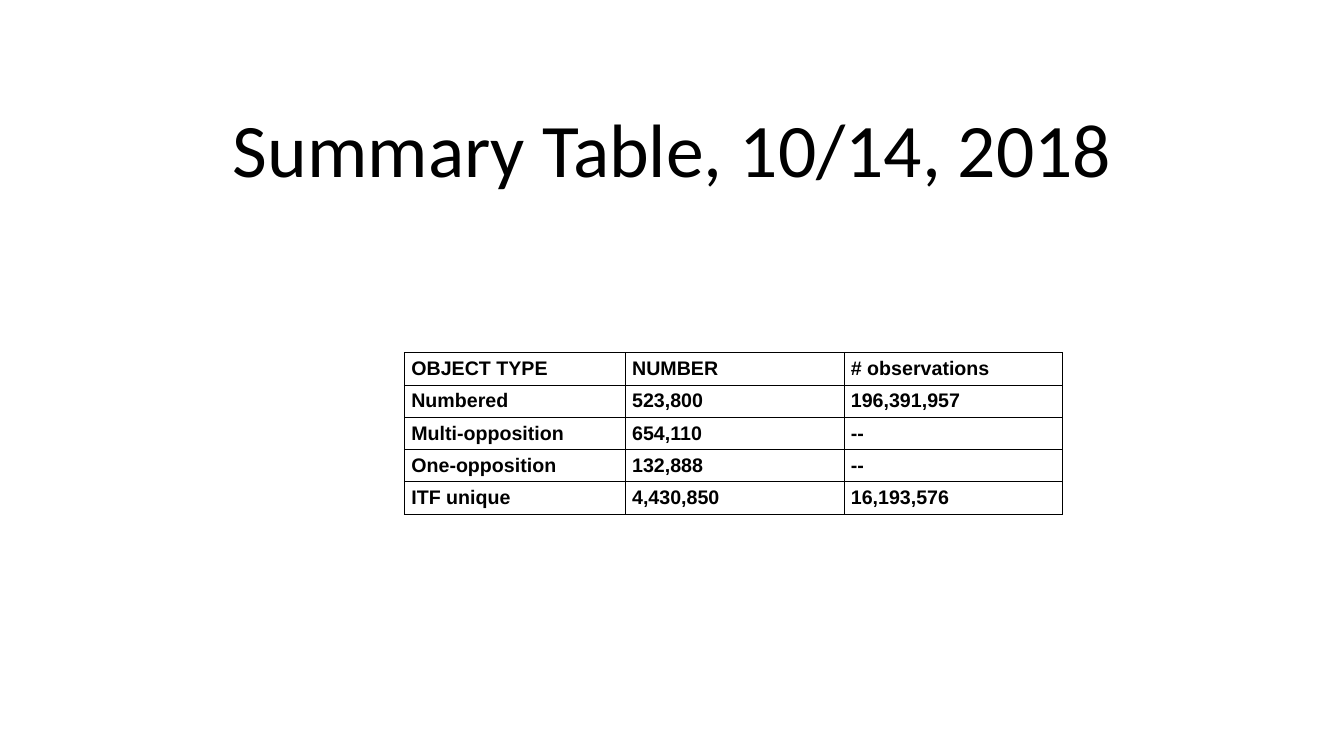
from dataclasses import dataclass

from lxml.etree import SubElement
from pptx import Presentation
from pptx.dml.color import RGBColor
from pptx.enum.text import MSO_ANCHOR, MSO_AUTO_SIZE, PP_ALIGN
from pptx.oxml.ns import qn
from pptx.util import Inches, Pt


@dataclass(frozen=True)
class Theme:
    """Colours, fonts and sizes of the slide."""

    ink: str = "000000"
    title_font: str = "Calibri"
    table_font: str = "Arial"
    title_size: int = 54
    table_size: int = 14
    border_width: float = 0.5


THEME = Theme()
COLUMN_WIDTHS = (2.19, 2.17, 2.17)
ROW_HEIGHT = 0.32
CELL_FORMAT = {
    "margin_left": Inches(0.07),
    "margin_right": Inches(0.07),
    "margin_top": Inches(0.05),
    "margin_bottom": Inches(0.05),
    "vertical_anchor": MSO_ANCHOR.TOP,
}
SUMMARY = (
    ("OBJECT TYPE", "NUMBER", "# observations"),
    ("Numbered", "523,800", "196,391,957"),
    ("Multi-opposition", "654,110", "--"),
    ("One-opposition", "132,888", "--"),
    ("ITF unique", "4,430,850", "16,193,576"),
)


def apply_format(target, values):
    """Set each named attribute on the target."""
    for name, value in values.items():
        setattr(target, name, value)


def style_font(font, face, size, bold):
    """Give a font its face, size, weight and the theme's ink."""
    apply_format(font, {"name": face, "size": Pt(size), "bold": bold})
    font.color.rgb = RGBColor.from_string(THEME.ink)


def add_borders(cell):
    """Draw a thin line on all four sides of a cell."""
    properties = cell._tc.get_or_add_tcPr()
    for side in ("lnL", "lnR", "lnT", "lnB"):
        border = SubElement(properties, qn(f"a:{side}"), w=str(Pt(THEME.border_width)))
        ink = SubElement(border, qn("a:solidFill"))
        SubElement(ink, qn("a:srgbClr"), val=THEME.ink)


def place_title(slide, left, top, width, height):
    """Write the heading in the title placeholder."""
    heading = slide.shapes.title
    apply_format(heading, {
        "left": Inches(left),
        "top": Inches(top),
        "width": Inches(width),
        "height": Inches(height),
    })
    frame = heading.text_frame
    frame.text = "Summary Table, 10/14, 2018"
    apply_format(frame, {
        "word_wrap": True,
        "auto_size": MSO_AUTO_SIZE.NONE,
        "vertical_anchor": MSO_ANCHOR.BOTTOM,
    })
    line = frame.paragraphs[0]
    apply_format(line, {"alignment": PP_ALIGN.CENTER, "line_spacing": 0.9})
    style_font(line.runs[0].font, THEME.title_font, THEME.title_size, False)


def place_summary(slide, left, top):
    """Build the table of object counts from its top left corner."""
    summary = slide.shapes.add_table(
        len(SUMMARY), len(COLUMN_WIDTHS), Inches(left), Inches(top),
        Inches(sum(COLUMN_WIDTHS)), Inches(ROW_HEIGHT * len(SUMMARY)),
    ).table
    apply_format(summary, {"first_row": False, "horz_banding": False})
    for column, width in zip(summary.columns, COLUMN_WIDTHS):
        column.width = Inches(width)
    for row, entries in zip(summary.rows, SUMMARY):
        row.height = Inches(ROW_HEIGHT)
        for cell, entry in zip(row.cells, entries):
            cell.text = entry
            apply_format(cell, CELL_FORMAT)
            add_borders(cell)
            cell.fill.background()
            run = cell.text_frame.paragraphs[0].runs[0]
            style_font(run.font, THEME.table_font, THEME.table_size, True)


def main():
    """Build and save the presentation."""
    deck = Presentation()
    apply_format(deck, {"slide_width": Inches(13.33), "slide_height": Inches(7.5)})
    slide = deck.slides.add_slide(deck.slide_layouts[0])
    subtitle = slide.placeholders[1].element
    subtitle.getparent().remove(subtitle)
    place_title(slide, 1.67, 1.23, 10, 0.74)
    place_summary(slide, 4.01, 3.5)
    deck.save("out.pptx")


if __name__ == "__main__":
    main()
